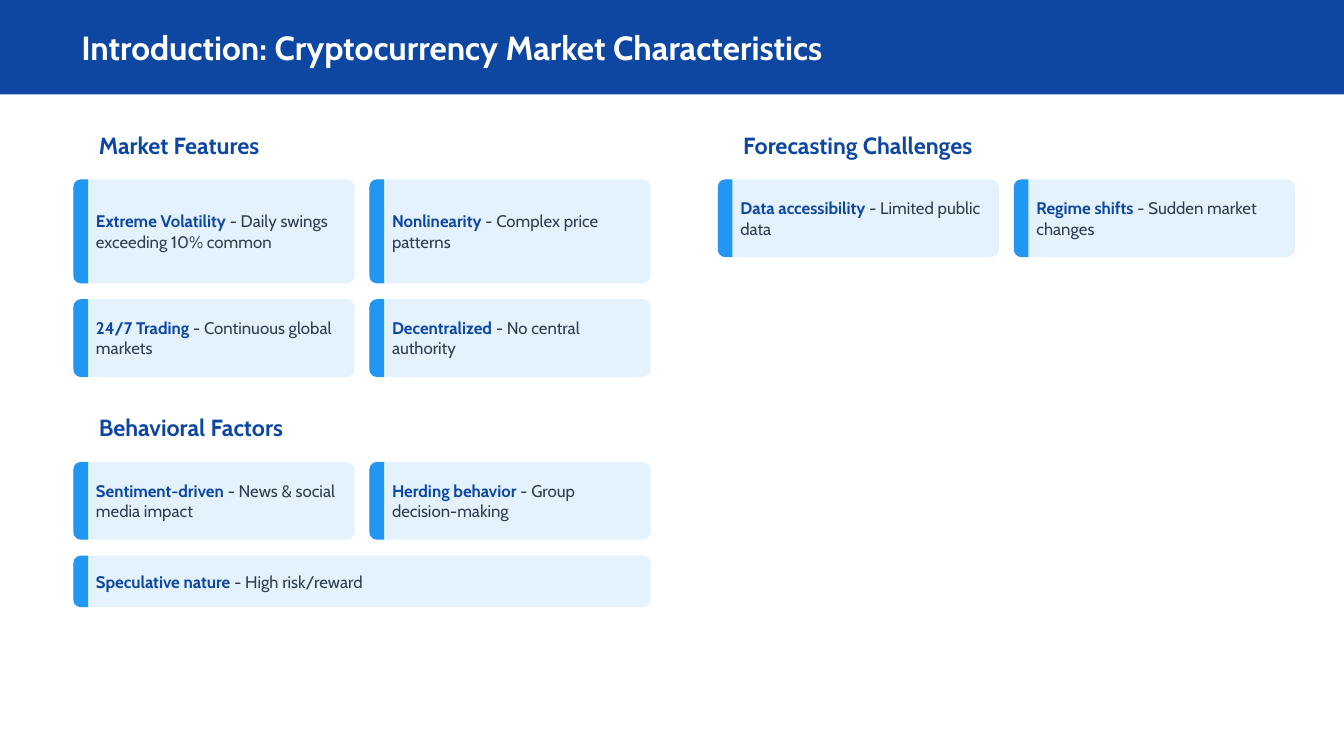
from pptx import Presentation
from pptx.dml.color import RGBColor
from pptx.enum.shapes import MSO_SHAPE
from pptx.enum.text import MSO_ANCHOR, MSO_AUTO_SIZE
from pptx.util import Cm, Pt

RECT = MSO_SHAPE.RECTANGLE
ROUNDED = MSO_SHAPE.ROUNDED_RECTANGLE
ROUND_TOP = MSO_SHAPE.ROUND_2_SAME_RECTANGLE
MIDDLE = MSO_ANCHOR.MIDDLE
FIT_TEXT = MSO_AUTO_SIZE.SHAPE_TO_FIT_TEXT

NAVY = RGBColor(0x0D, 0x47, 0xA1)
BLUE = RGBColor(0x21, 0x96, 0xF3)
PALE = RGBColor(0xE3, 0xF2, 0xFD)
SLATE = RGBColor(0x2C, 0x3E, 0x50)
WHITE = RGBColor(0xFF, 0xFF, 0xFF)
FONT = "Cabin"

# All lengths below are in centimetres.
SLIDE_W, SLIDE_H = 33.87, 19.05
LEFT, RIGHT, COLUMN_W = 1.85, 18.09, 14.55
TOP, SECTION_GAP = 3.17, 0.79
HEADING_H, HEADING_STEP, HEADING_INDENT = 0.97, 1.35, 0.44
CARD_GAP, ROW_GAP = 0.37, 0.4
BAR_W, RADIUS = 0.37, 0.21
INSET_X, INSET_Y = 0.2, 0.15
ONE_LINE, TWO_LINES = 0.81, 1.33
TALL, MEDIUM, LOW = 2.62, 1.96, 1.3

# Each section: heading, then rows of (height, cards of term and description).
LEFT_SECTIONS = [
    ("Market Features", [
        (TALL, [("Extreme Volatility", "Daily swings exceeding 10% common"),
                ("Nonlinearity", "Complex price patterns")]),
        (MEDIUM, [("24/7 Trading", "Continuous global markets"),
                  ("Decentralized", "No central authority")]),
    ]),
    ("Behavioral Factors", [
        (MEDIUM, [("Sentiment-driven", "News & social media impact"),
                  ("Herding behavior", "Group decision-making")]),
        (LOW, [("Speculative nature", "High risk/reward")]),
    ]),
]
RIGHT_SECTIONS = [
    ("Forecasting Challenges", [
        (MEDIUM, [("Data accessibility", "Limited public data"),
                  ("Regime shifts", "Sudden market changes")]),
    ]),
]


def add_block(s, kind, x, y, w, h, color):
    sp = s.shapes.add_shape(kind, Cm(x), Cm(y), Cm(w), Cm(h))
    sp.shadow.inherit = False
    sp.fill.solid()
    sp.fill.fore_color.rgb = color
    sp.line.fill.background()
    return sp


def add_text(s, x, y, w, h, runs, size, wrap=False, indent=0):
    """Add one paragraph; runs holds (text, color, bold)."""
    tf = s.shapes.add_textbox(Cm(x), Cm(y), Cm(w), Cm(h)).text_frame
    tf.word_wrap = wrap
    tf.auto_size = FIT_TEXT
    tf.vertical_anchor = MIDDLE
    tf.margin_left = Cm(INSET_X + indent)
    tf.margin_right = Cm(INSET_X)
    tf.margin_top = tf.margin_bottom = Cm(INSET_Y)
    p = tf.paragraphs[0]
    for text, color, bold in runs:
        r = p.add_run()
        r.text = text
        r.font.name = FONT
        r.font.size = Pt(size)
        r.font.bold = bold
        r.font.color.rgb = color


def add_title_band(s, w, h):
    add_block(s, RECT, 0, 0, w, h, NAVY)
    title_h = 1.32
    add_text(s, LEFT, (h - title_h) / 2, 30.15, title_h,
             [("Introduction: Cryptocurrency Market Characteristics", WHITE, True)], 23.9)


def add_card(s, x, y, w, h, term, description, text_h):
    card = add_block(s, ROUNDED, x, y, w, h, PALE)
    card.adjustments[0] = RADIUS / h
    # The bar is laid out lengthwise about its centre, then turned upright.
    bar = add_block(s, ROUND_TOP, x + (BAR_W - h) / 2, y + (h - BAR_W) / 2, h, BAR_W, BLUE)
    bar.adjustments[0] = 0.5
    bar.adjustments[1] = 0
    bar.rotation = 270
    add_text(s, x + BAR_W, y + (h - text_h) / 2, w - BAR_W, text_h,
             [(term, NAVY, True), (" - " + description, SLATE, False)], 12, wrap=True)


def add_section(s, x, y, w, heading, rows):
    """Add a heading with its card rows and return the bottom edge."""
    add_text(s, x, y, w, HEADING_H, [(heading, NAVY, True)], 16.7, indent=HEADING_INDENT)
    y += HEADING_STEP
    for h, cards in rows:
        card_w = (w - CARD_GAP * (len(cards) - 1)) / len(cards)
        text_h = ONE_LINE if len(cards) == 1 else TWO_LINES
        for i, (term, description) in enumerate(cards):
            add_card(s, x + i * (card_w + CARD_GAP), y, card_w, h, term, description, text_h)
        y += h + ROW_GAP
    return y - ROW_GAP


def add_column(s, x, y, w, sections):
    for heading, rows in sections:
        y = add_section(s, x, y, w, heading, rows) + SECTION_GAP


def main():
    prs = Presentation()
    prs.slide_width, prs.slide_height = Cm(SLIDE_W), Cm(SLIDE_H)
    s = prs.slides.add_slide(prs.slide_layouts[6])
    add_title_band(s, SLIDE_W, 2.38)
    add_column(s, LEFT, TOP, COLUMN_W, LEFT_SECTIONS)
    add_column(s, RIGHT, TOP, COLUMN_W, RIGHT_SECTIONS)
    prs.save("out.pptx")


if __name__ == "__main__":
    main()
